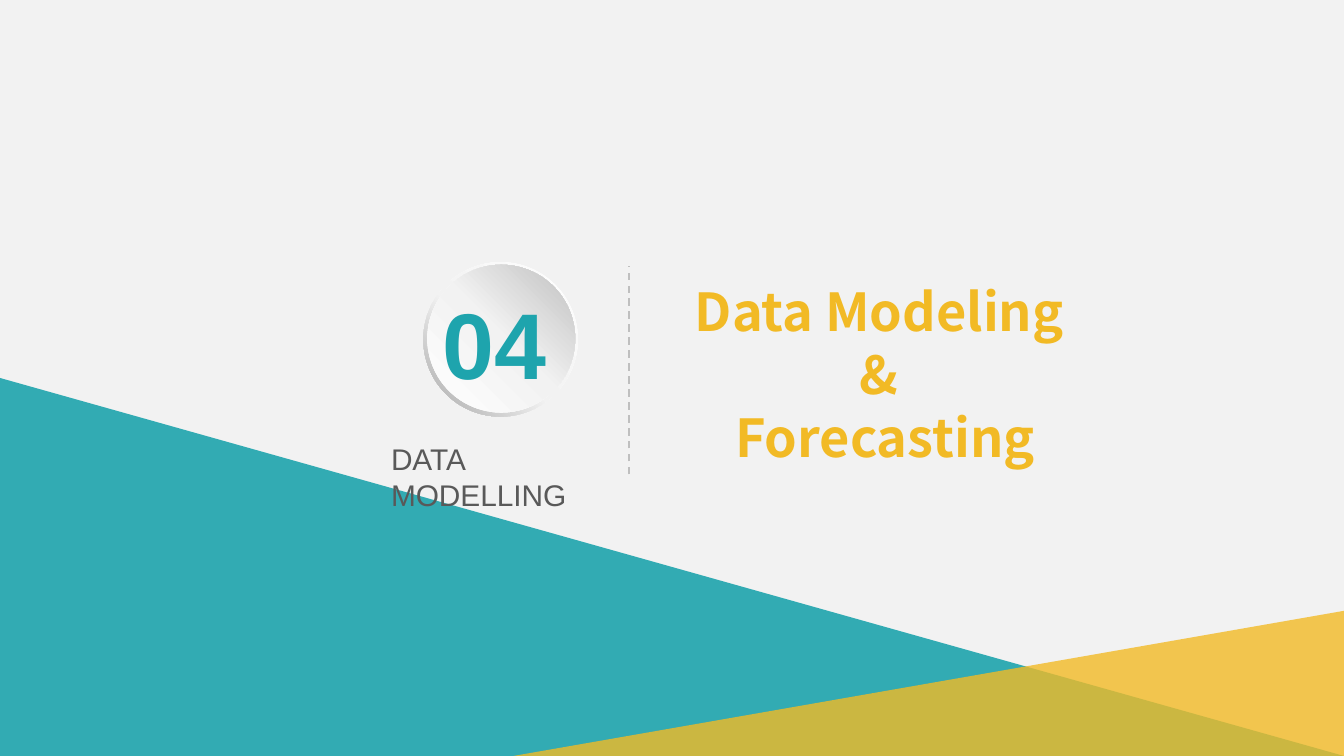
"""Build the section slide for data modelling and forecasting."""
from copy import deepcopy

from lxml import etree
from pptx import Presentation
from pptx.dml.color import RGBColor
from pptx.enum.dml import MSO_LINE
from pptx.enum.shapes import MSO_CONNECTOR, MSO_SHAPE
from pptx.enum.text import MSO_ANCHOR, PP_ALIGN
from pptx.oxml.ns import qn
from pptx.util import Inches, Pt

DASH, STRAIGHT = MSO_LINE.DASH, MSO_CONNECTOR.STRAIGHT
DONUT, OVAL = MSO_SHAPE.DONUT, MSO_SHAPE.OVAL
TOP, MIDDLE = MSO_ANCHOR.TOP, MSO_ANCHOR.MIDDLE
LEFT, CENTER = PP_ALIGN.LEFT, PP_ALIGN.CENTER

WIDE = 10
HIGH = WIDE * 9 / 16
THEME = {
    "back": "F2F2F2", "teal": "1EA4AD", "gold": "F2BA25",
    "text": "595959", "rule": "BFBFBF",
    "sans": "Arial", "head": "Noto Sans CJK SC",
    "big": 50, "title": 28, "label": 16, "pitch": 33.6, "thin": 1,
}
WEDGES = [
    ([(0, 0.5), (1, 1), (0, 1)], "teal", 90),
    ([(1, 0.808), (0.382, 1), (1, 1)], "gold", 80),
]
DISCS = [
    (DONUT, (3.15, 1.95, 1.15), [(0, "FFFFFF"), (0.55, "F2F2F2"), (1, "A6A6A6")], 225),
    (OVAL, (3.18, 1.97, 1.1), [(0, "FFFFFF"), (0.51, "F2F2F2"), (1, "BFBFBF")], 45),
]
RING = 0.049
RULE = (4.68, 3.53, 4.68, 1.98)
TEXTS = [
    (["Data Modeling ", "& ", "Forecasting"], (4.54, 2.03, 4.09, 1.5),
     ("head", "title", "gold", True), CENTER, MIDDLE, "pitch"),
    (["DATA MODELLING"], (2.91, 3.28, 1.63, 0.54),
     ("sans", "label", "text", False), LEFT, TOP, None),
    (["04"], (3.29, 2.13, 0.99, 0.84),
     ("sans", "big", "teal", True), LEFT, TOP, None),
]


def tint(name):
    return RGBColor.from_string(THEME.get(name, name))


def wedge(slide, points, color, alpha):
    spots = [(Inches(x * WIDE), Inches(y * HIGH)) for x, y in points]
    pen = slide.shapes.build_freeform(*spots[0])
    pen.add_line_segments(spots[1:], close=True)
    shape = pen.convert_to_shape()
    shape.shadow.inherit = False
    shape.line.fill.background()
    shape.fill.solid()
    shape.fill.fore_color.rgb = tint(color)
    node = shape._element.spPr.find(".//" + qn("a:srgbClr"))
    etree.SubElement(node, qn("a:alpha")).set("val", str(alpha * 1000))


def disc(group, kind, place, stops, angle):
    x, y, size = map(Inches, place)
    shape = group.shapes.add_shape(kind, x, y, size, size)
    shape.shadow.inherit = False
    shape.line.fill.background()
    if kind == DONUT:
        shape.adjustments[0] = RING
    shape.fill.gradient()
    shape.fill.gradient_angle = angle
    nodes = shape._element.spPr.find(".//" + qn("a:gsLst"))
    nodes.append(deepcopy(nodes[0]))
    for stop, (share, color) in zip(shape.fill.gradient_stops, stops):
        stop.position = share
        stop.color.rgb = tint(color)


def rule(slide):
    line = slide.shapes.add_connector(STRAIGHT, *map(Inches, RULE))
    line.line.color.rgb = tint("rule")
    line.line.width = Pt(THEME["thin"])
    line.line.dash_style = DASH
    etree.SubElement(line._element.spPr, qn("a:effectLst"))


def write(slide, lines, place, style, align, anchor, pitch):
    face, size, color, bold = style
    frame = slide.shapes.add_textbox(*map(Inches, place)).text_frame
    frame.word_wrap = True
    frame.vertical_anchor = anchor
    frame.margin_left = frame.margin_right = 0
    frame.margin_top = frame.margin_bottom = 0
    frame.text = "\n".join(lines)
    for para in frame.paragraphs:
        para.alignment = align
        if pitch:
            para.line_spacing = Pt(THEME[pitch])
        font = para.font
        font.name, font.size = THEME[face], Pt(THEME[size])
        font.bold, font.color.rgb = bold, tint(color)


def main():
    deck = Presentation()
    deck.slide_width, deck.slide_height = Inches(WIDE), Inches(HIGH)
    slide = deck.slides.add_slide(deck.slide_layouts[6])
    slide.background.fill.solid()
    slide.background.fill.fore_color.rgb = tint("back")
    for item in WEDGES:
        wedge(slide, *item)
    title, label, number = TEXTS
    write(slide, *title)
    rule(slide)
    write(slide, *label)
    group = slide.shapes.add_group_shape()
    for item in DISCS:
        disc(group, *item)
    write(slide, *number)
    deck.save("out.pptx")


if __name__ == "__main__":
    main()
